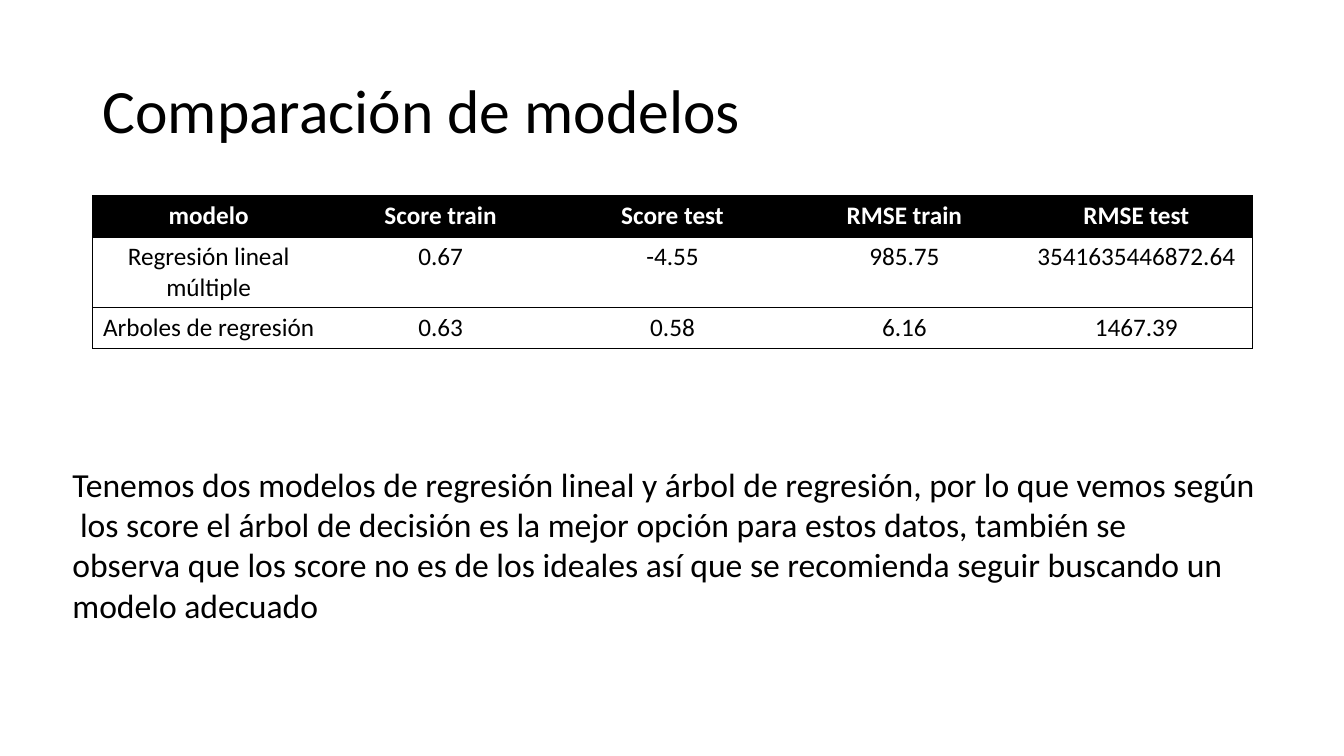
import pptx
import pptx.dml.color
import pptx.enum.text
import pptx.oxml
import pptx.oxml.ns
import pptx.util

Inches = pptx.util.Inches
Pt = pptx.util.Pt
ALIGN = pptx.enum.text.PP_ALIGN
ANCHOR = pptx.enum.text.MSO_ANCHOR

BLACK = pptx.dml.color.RGBColor(0, 0, 0)
WHITE = pptx.dml.color.RGBColor(255, 255, 255)
FONT = "Calibri"
PLAIN_TABLE_STYLE = "{2D5ABB26-0587-4C30-8999-92F81FD0307C}"
NO_BREAK_SPACE = "\u00a0"

MODEL_SCORES = [
    ["modelo", "Score train", "Score test", "RMSE train", "RMSE test"],
    ["Regresión lineal múltiple", "0.67", "-4.55", "985.75", "3541635446872.64"],
    ["Arboles de regresión", "0.63", "0.58", "6.16", "1467.39"],
]

CONCLUSION = [
    ["Tenemos dos modelos de regresión lineal y árbol de regresión, por lo que vemos según"],
    [
        " los score el árbol de decisión es la mejor opción para estos datos, también",
        "se",
        "observa que los score no es",
        "de los ideales así que se recomienda seguir buscando un ",
    ],
    ["modelo adecuado"],
]


def add_run(paragraph, text, size, color=BLACK, bold=False):
    run = paragraph.add_run()
    run.text = text
    run.font.name = FONT
    run.font.size = Pt(size)
    run.font.bold = bold
    run.font.color.rgb = color


def join_unbroken(phrases):
    return " ".join(phrase.replace(" ", NO_BREAK_SPACE) for phrase in phrases)


def add_text(slide, left, top, width, height, lines, size, anchor=ANCHOR.TOP, spacing=1.0):
    frame = slide.shapes.add_textbox(
        Inches(left), Inches(top), Inches(width), Inches(height)
    ).text_frame
    frame.word_wrap = True
    frame.vertical_anchor = anchor
    for index, line in enumerate(lines):
        paragraph = frame.paragraphs[0] if index == 0 else frame.add_paragraph()
        paragraph.line_spacing = spacing
        add_run(paragraph, line, size)


def add_border(cell, side):
    line = pptx.oxml.parse_xml(
        f'<a:ln{side} {pptx.oxml.ns.nsdecls("a")} w="{Pt(0.5)}">'
        f'<a:solidFill><a:srgbClr val="{BLACK}"/></a:solidFill></a:ln{side}>'
    )
    cell._tc.get_or_add_tcPr().append(line)


def fill_cell(cell, text, is_header, sides):
    for side in sides:
        add_border(cell, side)
    if is_header:
        cell.fill.solid()
        cell.fill.fore_color.rgb = BLACK
    else:
        cell.fill.background()
    paragraph = cell.text_frame.paragraphs[0]
    paragraph.alignment = ALIGN.CENTER
    add_run(paragraph, text, 18, WHITE if is_header else BLACK, is_header)


def add_score_table(slide, left, top, width, row_height, rows):
    frame = slide.shapes.add_table(
        len(rows), len(rows[0]), Inches(left), Inches(top),
        Inches(width), Inches(row_height * len(rows)),
    )
    table = frame.table
    table._tbl.tblPr.find(pptx.oxml.ns.qn("a:tableStyleId")).text = PLAIN_TABLE_STYLE
    table.horz_banding = False
    last_column = len(rows[0]) - 1
    for row_index, row in enumerate(rows):
        for column_index, text in enumerate(row):
            sides = ["L"] if column_index == 0 else []
            if column_index == last_column:
                sides.append("R")
            sides += ["T", "B"]
            fill_cell(table.cell(row_index, column_index), text, row_index == 0, sides)


def main():
    presentation = pptx.Presentation()
    presentation.slide_width = Inches(13.33)
    presentation.slide_height = Inches(7.5)
    slide = presentation.slides.add_slide(presentation.slide_layouts[6])
    add_text(slide, 0.92, 0.4, 11.5, 1.45, ["Comparación de modelos"], 44, ANCHOR.MIDDLE, 0.9)
    add_score_table(slide, 0.92, 1.94, 11.5, 0.41, MODEL_SCORES)
    add_text(slide, 0.62, 4.55, 12.08, 2.02, [join_unbroken(line) for line in CONCLUSION], 24)
    presentation.save("out.pptx")


main()
